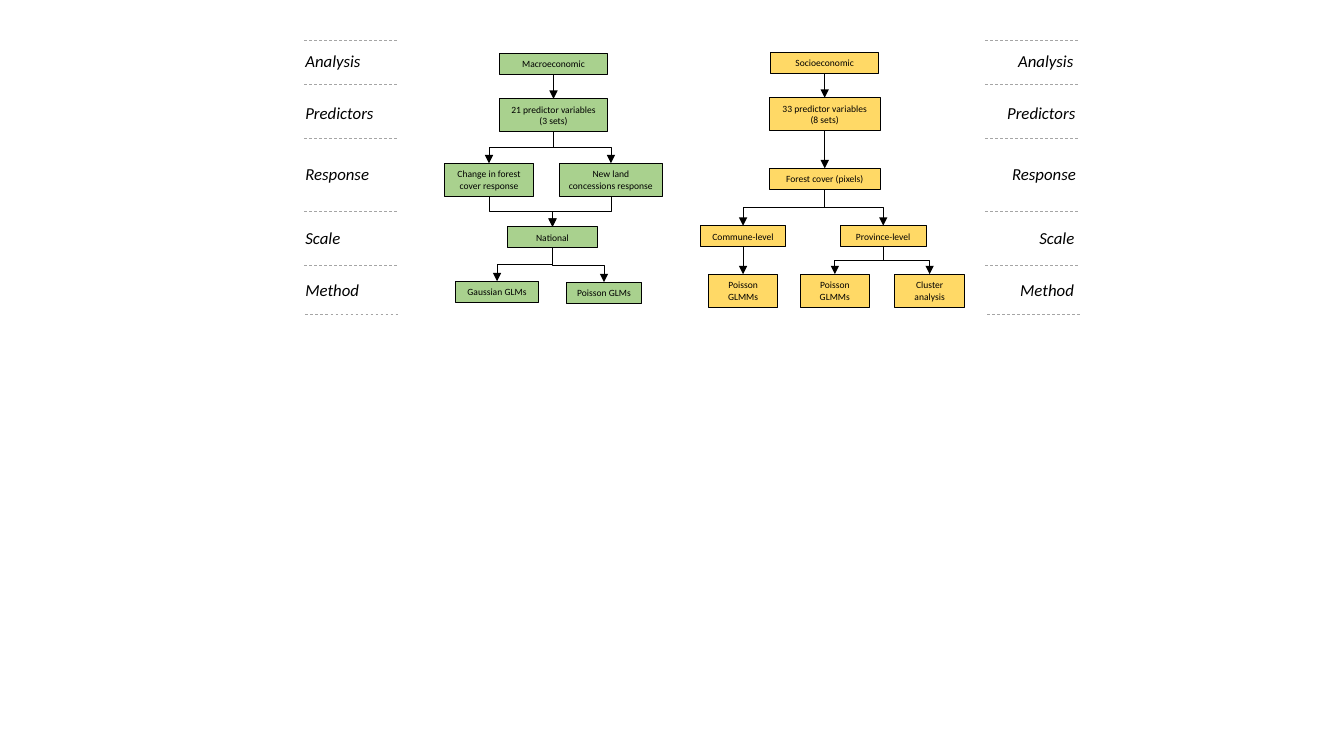
from lxml.etree import SubElement
from pptx import Presentation
from pptx.dml.color import RGBColor
from pptx.enum.dml import MSO_LINE
from pptx.enum.shapes import MSO_CONNECTOR, MSO_SHAPE
from pptx.enum.text import MSO_AUTO_SIZE, PP_ALIGN
from pptx.oxml.ns import qn
from pptx.util import Inches, Pt

GREEN = RGBColor(0xA9, 0xD1, 0x8E)
YELLOW = RGBColor(0xFF, 0xD9, 0x66)
GREY = RGBColor(0xA5, 0xA5, 0xA5)
BLACK = RGBColor(0, 0, 0)
ONE_LINE, TWO_LINES = 0.21, 0.33
TOP, BOTTOM = 0, 2


class FlowSlide:
    """Holds the slide and the style of its boxes, labels and lines."""

    font = "Calibri"

    def __init__(self, slide):
        self.slide = slide

    def add_text(self, shape, text, size, italic=False, align=PP_ALIGN.LEFT):
        frame = shape.text_frame
        frame.word_wrap = True
        frame.auto_size = MSO_AUTO_SIZE.SHAPE_TO_FIT_TEXT
        paragraph = frame.paragraphs[0]
        paragraph.alignment = align
        run = paragraph.add_run()
        run.text = text
        run.font.name = self.font
        run.font.size = Pt(size)
        run.font.italic = italic
        run.font.color.rgb = BLACK

    def box(self, text, fill, centre, top, width, height=ONE_LINE):
        shape = self.slide.shapes.add_shape(
            MSO_SHAPE.RECTANGLE, Inches(centre - width / 2), Inches(top),
            Inches(width), Inches(height))
        shape.shadow.inherit = False
        shape.fill.solid()
        shape.fill.fore_color.rgb = fill
        shape.line.color.rgb = BLACK
        shape.line.width = Pt(0.75)
        self.add_text(shape, text, 6.8, align=PP_ALIGN.CENTER)
        return shape

    def label(self, text, left, top, width):
        shape = self.slide.shapes.add_textbox(
            Inches(left), Inches(top), Inches(width), Inches(0.3))
        self.add_text(shape, text, 12, italic=True)

    def line(self, kind, color, left=0, top=0, width=0):
        connector = self.slide.shapes.add_connector(
            kind, Inches(left), Inches(top), Inches(left + width), Inches(top))
        connector.line.color.rgb = color
        connector.line.width = Pt(0.5)
        SubElement(connector._element.spPr, qn("a:effectLst"))
        return connector

    def divider(self, left, top):
        connector = self.line(MSO_CONNECTOR.STRAIGHT, GREY, left, top, 0.94)
        connector.line.dash_style = MSO_LINE.DASH

    def arrow(self, parent, child, kind=MSO_CONNECTOR.STRAIGHT):
        connector = self.line(kind, BLACK)
        connector.begin_connect(parent, BOTTOM)
        connector.end_connect(child, TOP)
        outline = connector._element.spPr.find(qn("a:ln"))
        SubElement(outline, qn("a:tailEnd"), type="triangle")
        return connector

    def elbow(self, parent, child):
        """Leaves downwards, so the elbow's frame is turned a quarter."""
        connector = self.arrow(parent, child, MSO_CONNECTOR.ELBOW)
        begin_x = parent.left + parent.width // 2
        end_x = child.left + child.width // 2
        begin_y, end_y = parent.top + parent.height, child.top
        across, down = abs(end_x - begin_x), end_y - begin_y
        connector.left = (begin_x + end_x - down) // 2
        connector.top = (begin_y + end_y - across) // 2
        connector.width, connector.height = down, across
        to_right = end_x > begin_x
        frame = connector._element.spPr.find(qn("a:xfrm"))
        frame.set("rot", str((270 if to_right else 90) * 60000))
        frame.set("flipH", "1" if to_right else "0")


presentation = Presentation()
presentation.slide_width = Inches(13.33)
presentation.slide_height = Inches(7.5)
flow = FlowSlide(presentation.slides.add_slide(presentation.slide_layouts[6]))

# Row labels on both sides: text, left of each label, top, width
for text, left_side, right_side, top, width in [
    ("Analysis", 2.93, 10, 0.45, 0.82),
    ("Predictors", 2.93, 9.89, 0.97, 0.91),
    ("Response", 2.93, 9.94, 1.58, 0.86),
    ("Scale", 2.93, 10.21, 2.21, 0.58),
    ("Method", 2.93, 10.02, 2.73, 0.77),
]:
    flow.label(text, left_side, top, width)
    flow.label(text, right_side, top, width)

# Dashed dividers between the rows
for left_side, right_side, top in [
    (3.02, 9.77, 0.4), (3.02, 9.77, 0.84), (3.02, 9.77, 1.37),
    (3.02, 9.77, 2.1), (3.02, 9.77, 2.63), (3.03, 9.79, 3.12),
]:
    flow.divider(left_side, top)
    flow.divider(right_side, top)

# Macroeconomic boxes
macro = flow.box("Macroeconomic", GREEN, 5.49, 0.53, 1.07)
macro_predictors = flow.box(
    "21 predictor variables (3 sets)", GREEN, 5.49, 0.98, 1.07, TWO_LINES)
forest_change = flow.box(
    "Change in forest cover response", GREEN, 4.85, 1.62, 0.89, TWO_LINES)
concessions = flow.box(
    "New land concessions response", GREEN, 6.06, 1.62, 1.03, TWO_LINES)
national = flow.box("National", GREEN, 5.48, 2.25, 0.89)
gaussian = flow.box("Gaussian GLMs", GREEN, 4.93, 2.79, 0.83)
poisson = flow.box("Poisson GLMs", GREEN, 5.99, 2.8, 0.75)

# Socioeconomic boxes
socio = flow.box("Socioeconomic", YELLOW, 8.18, 0.52, 1.07)
socio_predictors = flow.box(
    "33 predictor variables (8 sets)", YELLOW, 8.18, 0.97, 1.1, TWO_LINES)
forest_cover = flow.box("Forest cover (pixels)", YELLOW, 8.18, 1.67, 1.1)
commune = flow.box("Commune-level", YELLOW, 7.37, 2.24, 0.85)
province = flow.box("Province-level", YELLOW, 8.76, 2.24, 0.85)
commune_poisson, province_poisson, cluster = [
    flow.box(text, YELLOW, centre, 2.72, 0.69, TWO_LINES)
    for text, centre in [("Poisson GLMMs", 7.37), ("Poisson GLMMs", 8.28),
                         ("Cluster analysis", 9.22)]
]

# Straight arrows
for parent, child in [
    (macro, macro_predictors), (socio, socio_predictors),
    (socio_predictors, forest_cover), (commune, commune_poisson),
]:
    flow.arrow(parent, child)

# Branching arrows
for parent, child in [
    (macro_predictors, forest_change), (macro_predictors, concessions),
    (forest_change, national), (concessions, national),
    (national, gaussian), (national, poisson),
    (forest_cover, commune), (forest_cover, province),
    (province, province_poisson), (province, cluster),
]:
    flow.elbow(parent, child)

presentation.save("out.pptx")
